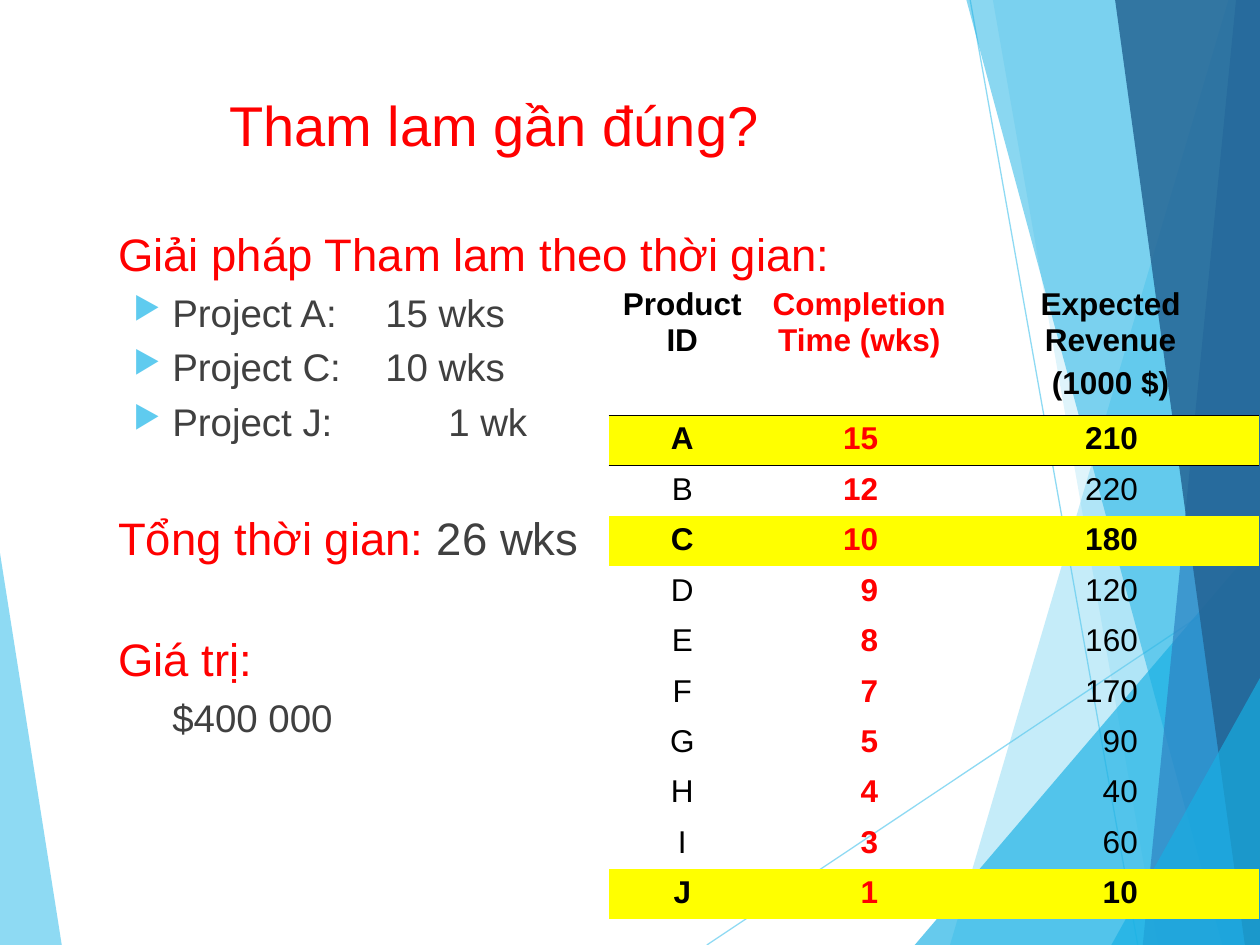
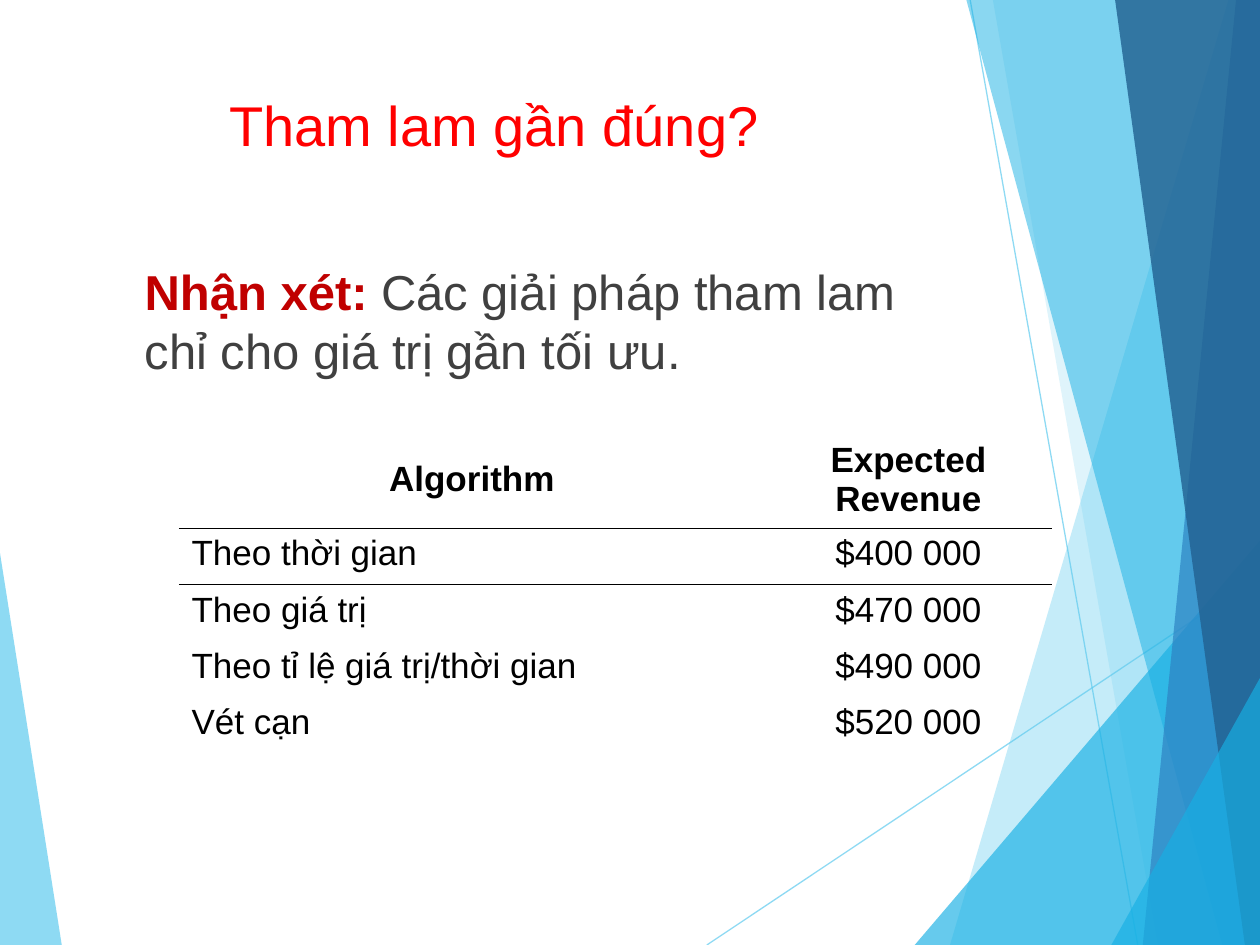
from dataclasses import dataclass

from lxml import etree
from pptx import Presentation
from pptx.dml.color import RGBColor
from pptx.enum.shapes import MSO_CONNECTOR
from pptx.enum.text import MSO_ANCHOR, PP_ALIGN
from pptx.oxml.ns import qn
from pptx.util import Pt

STRAIGHT = MSO_CONNECTOR.STRAIGHT
TOP, MIDDLE = MSO_ANCHOR.TOP, MSO_ANCHOR.MIDDLE
LEFT, CENTER, RIGHT = PP_ALIGN.LEFT, PP_ALIGN.CENTER, PP_ALIGN.RIGHT

PX = 9144  # 100 px to the inch
WIDTH, HEIGHT = 1000, 750
TITLE_ONLY = 5
PLAIN_TABLE_STYLE = "{2D5ABB26-0587-4C30-8999-92F81FD0307C}"


@dataclass(frozen=True)
class Theme:
    font: str = "Arial"
    red: str = "FF0000"
    dark_red: str = "C00000"
    gray: str = "404040"
    black: str = "000000"
    yellow: str = "FFFF00"
    sky: str = "5FCBEF"
    cyan: str = "17B0E4"
    blue: str = "2E83C3"
    navy: str = "236292"
    title_size: int = 32
    remark_size: int = 28
    heading_size: int = 26
    item_size: int = 22
    summary_size: int = 20
    project_size: int = 18


THEME = Theme()

# Backdrop: outline, colour, opacity in percent
LEFT_FACET = ([(0, 439), (49, 750), (0, 750)], THEME.sky, 70)
RIGHT_FACETS = [
    ([(975, 0), (754, 750), (1000, 750), (1000, 0)], THEME.sky, 36),
    ([(788, 0), (919, 750), (1000, 750), (1000, 0)], THEME.sky, 20),
    ([(726, 750), (1000, 429), (1000, 750)], THEME.cyan, 66),
    ([(767, 0), (970, 750), (1000, 750), (1000, 0)], THEME.cyan, 50),
    ([(981, 0), (907, 750), (1000, 750), (1000, 0)], THEME.blue, 70),
    ([(885, 0), (988, 750), (1000, 750), (1000, 0)], THEME.navy, 82),
    ([(882, 750), (1000, 538), (1000, 750)], THEME.cyan, 66),
]
RAYS = [(561, 750, 1000, 457), (770, 0, 903, 750)]

PROJECTS = [("A", 15, 210), ("B", 12, 220), ("C", 10, 180), ("D", 9, 120),
            ("E", 8, 160), ("F", 7, 170), ("G", 5, 90), ("H", 4, 40),
            ("I", 3, 60), ("J", 1, 10)]
CHOSEN = "ACJ"

REVENUES = [("Theo thời gian", "$400 000"), ("Theo giá trị", "$470 000"),
            ("Theo tỉ lệ giá trị/thời gian", "$490 000"),
            ("Vét cạn", "$520 000")]


class Deck:
    """Holds the theme, the presentation and the current slide."""

    def __init__(self, theme):
        self.theme = theme
        self.presentation = Presentation()
        self.presentation.slide_width = WIDTH * PX
        self.presentation.slide_height = HEIGHT * PX
        self.layout = self.presentation.slide_layouts[TITLE_ONLY]
        self.slide = None

    def add_slide(self, title):
        self.slide = self.presentation.slides.add_slide(self.layout)
        shape = self.slide.shapes.title
        shape.left, shape.top = 172 * PX, 67 * PX
        shape.width, shape.height = 825 * PX, 53 * PX
        frame = shape.text_frame
        frame.text = title
        frame.vertical_anchor = TOP
        paragraph = frame.paragraphs[0]
        paragraph.alignment = LEFT
        self.style(paragraph.runs[0], self.theme.title_size, self.theme.red)

    def style(self, run, size, color, bold=False):
        run.font.name = self.theme.font
        run.font.size = Pt(size)
        run.font.bold = bold
        run.font.color.rgb = RGBColor.from_string(color)

    def set_alpha(self, properties, percent):
        color = next(properties.iter(qn("a:srgbClr")))
        etree.SubElement(color, qn("a:alpha"), val=str(percent * 1000))

    def facet(self, points, color, alpha):
        builder = self.slide.shapes.build_freeform(*points[0], scale=PX)
        builder.add_line_segments(points[1:], close=True)
        shape = builder.convert_to_shape()
        shape.shadow.inherit = False
        shape.fill.solid()
        shape.fill.fore_color.rgb = RGBColor.from_string(color)
        shape.line.fill.background()
        self.set_alpha(shape._element.spPr, alpha)
        return shape

    def ray(self, *ends):
        connector = self.slide.shapes.add_connector(
            STRAIGHT, *(end * PX for end in ends))
        connector.line.width = Pt(0.75)
        connector.line.color.rgb = RGBColor.from_string(self.theme.sky)
        properties = connector._element.spPr
        self.set_alpha(properties, 70)
        etree.SubElement(properties, qn("a:effectLst"))
        return connector

    def backdrop(self):
        """Draws the facets and rays, then hands them to the shared layout."""
        parts = [self.facet(*LEFT_FACET)]
        parts += [self.ray(*ends) for ends in RAYS]
        parts += [self.facet(*facet) for facet in RIGHT_FACETS]
        for position, part in enumerate(parts, start=2):
            self.layout.shapes._spTree.insert(position, part._element)

    def text_box(self, left, top, width, height):
        shape = self.slide.shapes.add_textbox(
            left * PX, top * PX, width * PX, height * PX)
        shape.text_frame.word_wrap = True
        return shape.text_frame

    def paragraph(self, frame, runs, size, indent, before=10, spacing=0.8,
                  bullet=False, tab=None):
        """Writes (text, colour, bold) runs as the next paragraph."""
        paragraph = frame.paragraphs[0]
        if paragraph.runs:
            paragraph = frame.add_paragraph()
            paragraph.space_before = Pt(before)
        paragraph.line_spacing = spacing
        properties = paragraph._p.get_or_add_pPr()
        properties.set("marL", str(indent * PX))
        properties.set("indent", str(-31 * PX if bullet else 0))
        if bullet:
            color = etree.SubElement(properties, qn("a:buClr"))
            etree.SubElement(color, qn("a:srgbClr"), val=self.theme.sky)
            etree.SubElement(properties, qn("a:buSzPct"), val="80000")
            etree.SubElement(properties, qn("a:buChar"), char="▶")
        if tab:
            tabs = etree.SubElement(properties, qn("a:tabLst"))
            etree.SubElement(tabs, qn("a:tab"), pos=str(tab * PX), algn="l")
        for text, color, bold in runs:
            run = paragraph.add_run()
            run.text = text
            self.style(run, size, color, bold)

    def table(self, left, top, columns, rows):
        frame = self.slide.shapes.add_table(
            len(rows), len(columns), left * PX, top * PX,
            sum(columns) * PX, sum(rows) * PX)
        table = frame.table
        table.first_row = table.horz_banding = False
        table._tbl.tblPr.find(qn("a:tableStyleId")).text = PLAIN_TABLE_STYLE
        for column, width in zip(table.columns, columns):
            column.width = width * PX
        for row, height in zip(table.rows, rows):
            row.height = height * PX
        return table

    def cell(self, cell, text, size, color, bold=False, align=CENTER,
             right=10, fill=None):
        cell.text_frame.text = text
        cell.margin_right = right * PX
        for index, paragraph in enumerate(cell.text_frame.paragraphs):
            paragraph.alignment = align
            if index:
                paragraph.space_before = Pt(4.5)
            self.style(paragraph.runs[0], size, color, bold)
        if fill:
            cell.fill.solid()
            cell.fill.fore_color.rgb = RGBColor.from_string(fill)
        else:
            cell.fill.background()

    def header_rule(self, table):
        for row, side in ((0, "a:lnB"), (1, "a:lnT")):
            for cell in table.rows[row].cells:
                properties = cell._tc.get_or_add_tcPr()
                line = etree.Element(qn(side), w=str(Pt(0.45)))
                fill = etree.SubElement(line, qn("a:solidFill"))
                etree.SubElement(fill, qn("a:srgbClr"), val=self.theme.black)
                properties.insert(0, line)


def greedy_by_time(deck):
    theme = deck.theme
    deck.add_slide("Tham lam gần đúng?")
    deck.backdrop()

    # Chosen projects and totals
    frame = deck.text_box(46, 183, 694, 424)
    heading, item = theme.heading_size, theme.item_size
    deck.paragraph(frame, [("Giải pháp Tham lam theo thời gian:", theme.red,
                            False)], heading, 38)
    for text, tab in (("Project A:\t15 wks", 250), ("Project C:\t10 wks", 250),
                      ("Project J:\t1 wk", 300)):
        deck.paragraph(frame, [(text, theme.gray, False)], item, 81,
                       bullet=True, tab=tab)
    deck.paragraph(frame, [("Tổng thời gian: ", theme.red, False),
                           ("26 wks", theme.gray, False)], heading, 38,
                   before=44)
    deck.paragraph(frame, [("Giá trị:", theme.red, False)], heading, 38,
                   before=44)
    deck.paragraph(frame, [("$400 000", theme.gray, False)], item, 81)

    # Project table, with the chosen rows highlighted
    size = theme.project_size
    colors = (theme.black, theme.red, theme.black)
    layout = ((CENTER, 10), (RIGHT, 67), (RIGHT, 96))
    headers = ("Product ID", "Completion Time (wks)",
               "Expected Revenue\n(1000 $)")
    table = deck.table(483, 223, (117, 164, 235), [106] + [40] * len(PROJECTS))
    for column, (header, color) in enumerate(zip(headers, colors)):
        deck.cell(table.cell(0, column), header, size, color, bold=True)
    for row, project in enumerate(PROJECTS, start=1):
        chosen = project[0] in CHOSEN
        for column, value in enumerate(project):
            align, right = layout[column]
            deck.cell(table.cell(row, column), str(value), size,
                      colors[column], chosen or column == 1, align, right,
                      theme.yellow if chosen else None)
    deck.header_rule(table)


def comparison(deck):
    theme = deck.theme
    deck.add_slide("Tham lam gần đúng?")

    # Remark
    frame = deck.text_box(67, 203, 694, 424)
    deck.paragraph(frame, [
        ("Nhận xét: ", theme.dark_red, True),
        ("Các giải pháp tham lam chỉ cho giá trị gần tối ưu.", theme.gray,
         False)], theme.remark_size, 38, spacing=1.0)

    # Revenue of each algorithm
    size = theme.summary_size
    table = deck.table(142, 342, (465, 228), (77, 45, 44, 45, 43))
    for column, header in enumerate(("Algorithm", "Expected Revenue")):
        cell = table.cell(0, column)
        deck.cell(cell, header, size, theme.black, bold=True)
        cell.vertical_anchor = MIDDLE
    for row, (algorithm, revenue) in enumerate(REVENUES, start=1):
        deck.cell(table.cell(row, 0), algorithm, size, theme.black, align=LEFT)
        deck.cell(table.cell(row, 1), revenue, size, theme.black)
    deck.header_rule(table)


def main():
    deck = Deck(THEME)
    greedy_by_time(deck)
    comparison(deck)
    deck.presentation.save("out.pptx")


if __name__ == "__main__":
    main()
